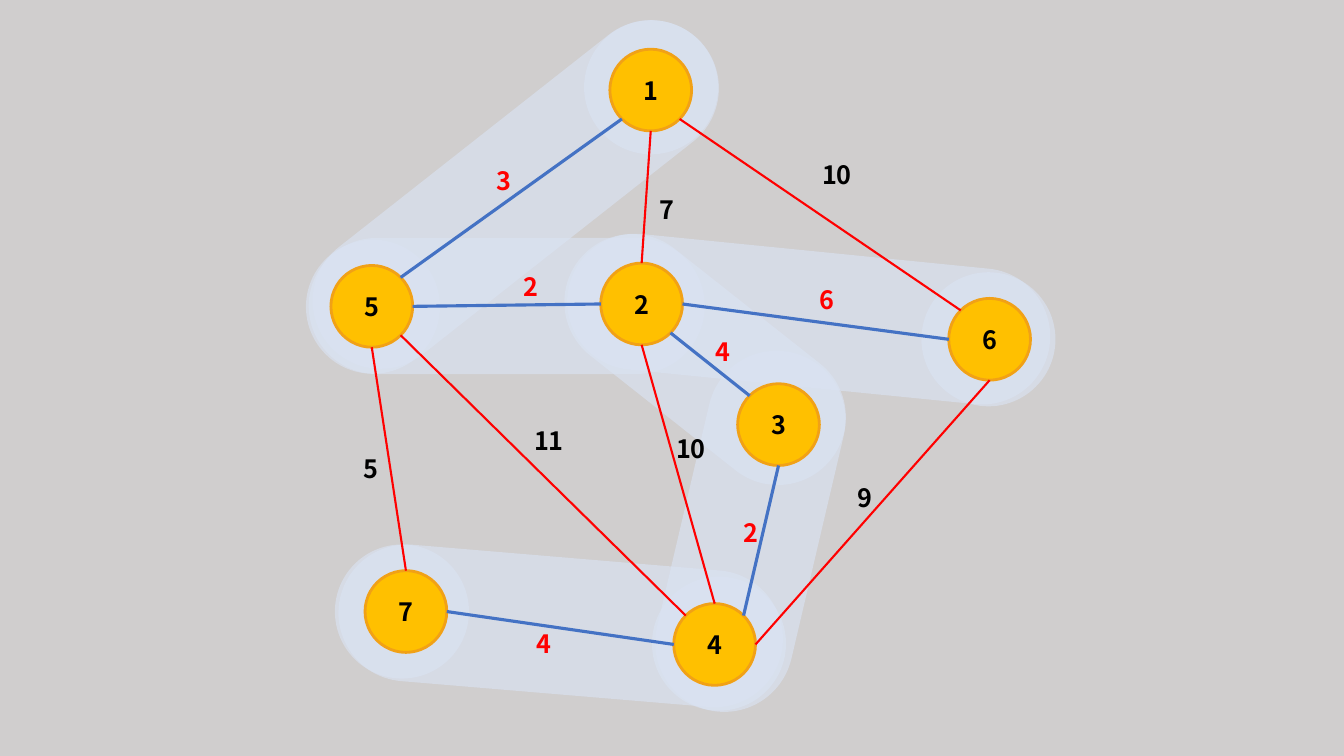
from dataclasses import dataclass
from math import cos, radians, sin

from lxml import etree
from pptx import Presentation
from pptx.dml.color import RGBColor
from pptx.enum.shapes import MSO_CONNECTOR, MSO_SHAPE
from pptx.enum.text import MSO_ANCHOR, MSO_AUTO_SIZE, PP_ALIGN
from pptx.oxml.ns import qn
from pptx.util import Cm, Pt

ELLIPSE, ROUNDED = MSO_SHAPE.OVAL, MSO_SHAPE.ROUNDED_RECTANGLE
STRAIGHT = MSO_CONNECTOR.STRAIGHT
CENTER, MIDDLE = PP_ALIGN.CENTER, MSO_ANCHOR.MIDDLE
FIT_SHAPE = MSO_AUTO_SIZE.SHAPE_TO_FIT_TEXT


@dataclass(frozen=True)
class Theme:
    font: str = "Noto Sans CJK KR"
    size: Pt = Pt(18)
    background: RGBColor = RGBColor(0xD0, 0xCE, 0xCE)
    halo: RGBColor = RGBColor(0xDA, 0xE3, 0xF3)
    halo_alpha: int = 63000
    node: RGBColor = RGBColor(0xFF, 0xC0, 0x00)
    node_line: RGBColor = RGBColor(0xF1, 0xA1, 0x16)
    node_width: Pt = Pt(2)
    ink: RGBColor = RGBColor(0x00, 0x00, 0x00)
    red: RGBColor = RGBColor(0xFF, 0x00, 0x00)
    tree: RGBColor = RGBColor(0x44, 0x72, 0xC4)
    tree_width: Pt = Pt(2.25)
    edge_width: Pt = Pt(1.5)


theme = Theme()
DIAMETER = 2.06
HALO = 3.38
TOP, TOP_LEFT, LEFT, BOTTOM_LEFT, BOTTOM, BOTTOM_RIGHT, RIGHT, TOP_RIGHT = range(8)

halos = [
    (10.13, 15.41, HALO, HALO, 0),
    (14.13, 15.77, 3.45, 11.23, 274.8),
    (18.91, 13.39, 3.48, 9.25, 193.2),
    (18.12, 16.22, HALO, HALO, 0),
    (17.77, 9.06, 3.43, 8.1, 308.3),
    (13, 4.9, 3.43, 12.09, 231.8),
    (16.41, 2.2, HALO, HALO, 0),
    (12.77, 7.71, 3.43, 9.98, 270),
    (9.4, 7.73, HALO, HALO, 0),
    (20.38, 8.04, 3.43, 12.22, 275.7),
    (24.91, 8.55, HALO, HALO, 0),
]
nodes = {
    1: (16.4, 2.27),
    6: (24.94, 8.55),
    5: (9.37, 7.72),
    4: (18.01, 16.24),
    7: (10.23, 15.41),
    3: (19.62, 10.7),
    2: (16.17, 7.66),
}
edges = [
    (1, BOTTOM_RIGHT, 6, TOP_LEFT, False, "10", 20.47, 3.89),
    (5, TOP_RIGHT, 1, BOTTOM_LEFT, True, "3", 12.27, 4.05),
    (2, RIGHT, 6, LEFT, True, "6", 20.4, 7.04),
    (3, BOTTOM, 4, TOP_RIGHT, True, "2", 18.49, 12.9),
    (4, RIGHT, 6, BOTTOM, False, "9", 21.36, 12.02),
    (2, BOTTOM_RIGHT, 3, TOP_LEFT, True, "4", 17.78, 8.36),
    (5, BOTTOM, 7, TOP, False, "5", 8.92, 11.3),
    (1, BOTTOM, 2, TOP, False, "7", 16.36, 4.78),
    (5, RIGHT, 2, LEFT, True, "2", 12.94, 6.71),
    (2, BOTTOM, 4, TOP, False, "10", 16.79, 10.8),
    (7, RIGHT, 4, LEFT, True, "4", 13.26, 15.7),
    (5, BOTTOM_RIGHT, 4, TOP_LEFT, False, "11", 13.21, 10.59),
]


def write(para, text, color):
    span = para.add_run()
    span.text = text
    span.font.name = theme.font
    span.font.size = theme.size
    span.font.bold = True
    span.font.color.rgb = color


def rim(node, site):
    x, y = nodes[node]
    angle = radians(90 + 45 * site)
    return Cm(x + DIAMETER / 2 * cos(angle)), Cm(y - DIAMETER / 2 * sin(angle))


deck = Presentation()
deck.slide_width, deck.slide_height = Cm(33.87), Cm(19.05)
page = deck.slides.add_slide(deck.slide_layouts[6])
page.background.fill.solid()
page.background.fill.fore_color.rgb = theme.background

for x, y, width, height, angle in halos:
    kind = ELLIPSE if width == height else ROUNDED
    halo = page.shapes.add_shape(kind, Cm(x - width / 2), Cm(y - height / 2), Cm(width), Cm(height))
    if kind == ROUNDED:
        halo.adjustments[0] = 0.5
    halo.rotation = angle
    halo.shadow.inherit = False
    halo.line.fill.background()
    halo.fill.solid()
    halo.fill.fore_color.rgb = theme.halo
    tint = halo._element.spPr.find(qn("a:solidFill"))[0]
    etree.SubElement(tint, qn("a:alpha"), val=str(theme.halo_alpha))

circles = {}
for number, (x, y) in nodes.items():
    circle = page.shapes.add_shape(
        ELLIPSE, Cm(x - DIAMETER / 2), Cm(y - DIAMETER / 2), Cm(DIAMETER), Cm(DIAMETER)
    )
    circle.shadow.inherit = False
    circle.fill.solid()
    circle.fill.fore_color.rgb = theme.node
    circle.line.color.rgb = theme.node_line
    circle.line.width = theme.node_width
    circle.text_frame.vertical_anchor = MIDDLE
    para = circle.text_frame.paragraphs[0]
    para.alignment = CENTER
    write(para, str(number), theme.ink)
    circles[number] = circle

for start, start_site, end, end_site, in_tree, *_ in edges:
    edge = page.shapes.add_connector(STRAIGHT, *rim(start, start_site), *rim(end, end_site))
    edge.line.color.rgb = theme.tree if in_tree else theme.red
    edge.line.width = theme.tree_width if in_tree else theme.edge_width
    etree.SubElement(edge._element.spPr, qn("a:effectLst"))
    glue = edge._element.nvCxnSpPr.cNvCxnSpPr
    for tag, node, site in (("a:stCxn", start, start_site), ("a:endCxn", end, end_site)):
        etree.SubElement(glue, qn(tag), id=str(circles[node].shape_id), idx=str(site))

for *_, in_tree, weight, x, y in edges:
    width = 0.89 if len(weight) == 1 else 1.28
    box = page.shapes.add_textbox(Cm(x), Cm(y), Cm(width), Cm(1.02))
    box.text_frame.word_wrap = False
    box.text_frame.auto_size = FIT_SHAPE
    write(box.text_frame.paragraphs[0], weight, theme.red if in_tree else theme.ink)

deck.save("out.pptx")
